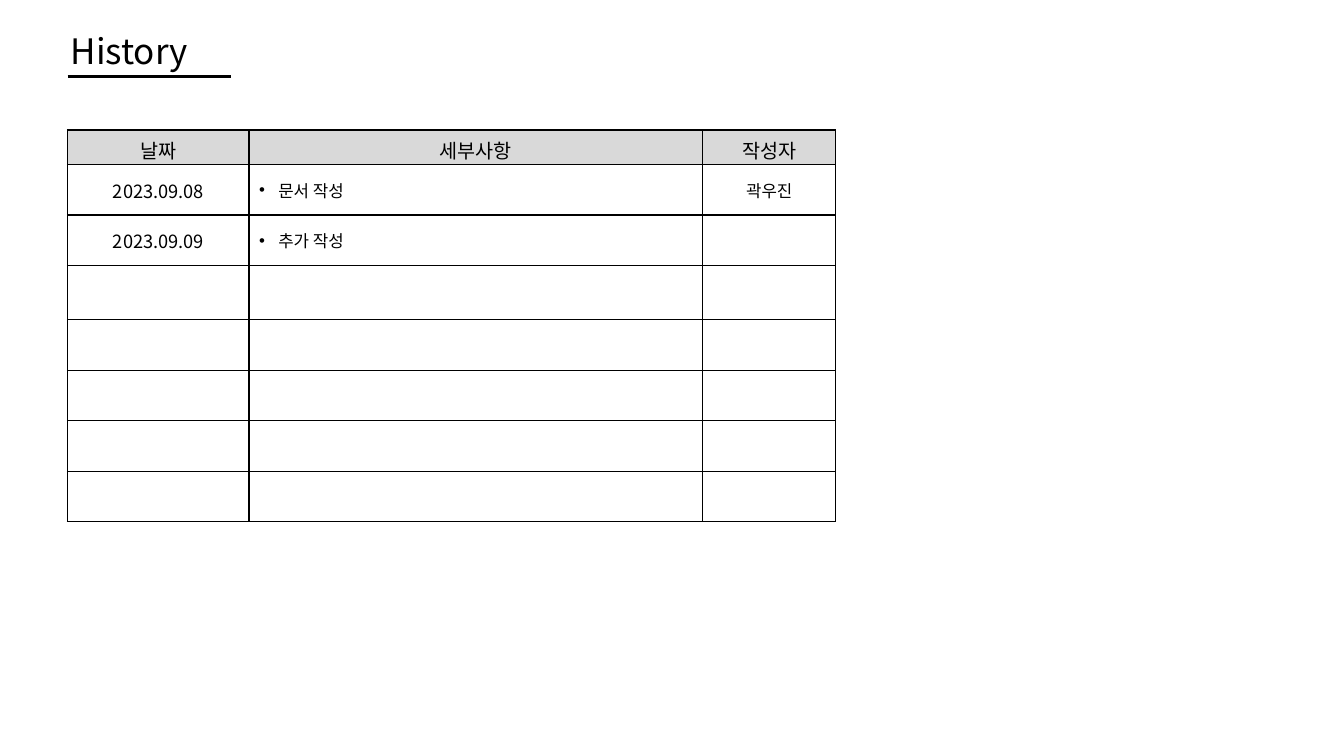
import pptx
import pptx.util
import pptx.dml.color
import pptx.enum.shapes
import pptx.enum.text
import pptx.oxml
import pptx.oxml.ns
import lxml.etree

Inches = pptx.util.Inches
Pt = pptx.util.Pt
ALIGN = pptx.enum.text.PP_ALIGN
ANCHOR = pptx.enum.text.MSO_ANCHOR
FONT = "Noto Sans CJK KR"
BLACK, GRAY, WHITE = "000000", "D9D9D9", "FFFFFF"

COLUMN_WIDTHS = [1.8, 4.5, 1.32]
HEADER_HEIGHT = 0.26
ROW_HEIGHTS = [0.5, 0.5, 0.54, 0.5, 0.5, 0.5, 0.5]
HEADINGS = ["날짜", "세부사항", "작성자"]
ENTRIES = [
    ["2023.09.08", "문서 작성", "곽우진"],
    ["2023.09.09", "추가 작성", ""],
]


def color(hex_string):
    return pptx.dml.color.RGBColor.from_string(hex_string)


def add_child(parent, tag, **attributes):
    child = lxml.etree.SubElement(parent, pptx.oxml.ns.qn(tag))
    for name, value in attributes.items():
        child.set(name, str(value))
    return child


def style_text(para, size, align):
    para.alignment = align
    para.font.size = Pt(size)
    para.font.name = FONT
    para.font.color.rgb = color(BLACK)
    for span in para.runs:
        add_child(span.font._element, "a:ea", typeface=FONT)


def add_title(page, text):
    title = page.shapes.title
    title.left, title.top = Inches(0.6), Inches(0.24)
    title.width, title.height = Inches(4.63), Inches(0.52)
    frame = title.text_frame
    frame.text = text
    frame.vertical_anchor = ANCHOR.MIDDLE
    frame.auto_size = pptx.enum.text.MSO_AUTO_SIZE.NONE
    style_text(frame.paragraphs[0], 25, ALIGN.LEFT)


def add_rule(page, left, right, top):
    rule = page.shapes.add_connector(
        pptx.enum.shapes.MSO_CONNECTOR.STRAIGHT,
        Inches(left), Inches(top), Inches(right), Inches(top))
    rule.line.color.rgb = color(BLACK)
    rule.line.width = Pt(1.75)
    add_child(rule._element.spPr, "a:effectLst")


def add_bullet(para):
    properties = para._element.get_or_add_pPr()
    properties.set("marL", str(Inches(0.19)))
    properties.set("indent", str(-Inches(0.19)))
    add_child(properties, "a:buFont", typeface="Arial")
    add_child(properties, "a:buChar", char="•")


def format_cell(cell, fill):
    # Borders come before the fill in the cell properties
    properties = cell._tc.get_or_add_tcPr()
    for side in ("a:lnL", "a:lnR", "a:lnT", "a:lnB"):
        border = add_child(properties, side, w=Pt(1))
        add_child(add_child(border, "a:solidFill"), "a:srgbClr", val=BLACK)
    cell.fill.solid()
    cell.fill.fore_color.rgb = color(fill)


def write_cell(cell, text, size, align=ALIGN.CENTER):
    cell.text = text
    para = cell.text_frame.paragraphs[0]
    style_text(para, size, align)
    return para


def add_history_table(page):
    heights = [HEADER_HEIGHT] + ROW_HEIGHTS
    table = page.shapes.add_table(
        len(heights), len(COLUMN_WIDTHS), Inches(0.67), Inches(1.29),
        Inches(sum(COLUMN_WIDTHS)), Inches(sum(heights))).table
    table.first_row = table.horz_banding = False
    for column, width in zip(table.columns, COLUMN_WIDTHS):
        column.width = Inches(width)
    for index, height in enumerate(heights):
        table.rows[index].height = Inches(height)
        for cell in table.rows[index].cells:
            format_cell(cell, WHITE if index else GRAY)

    # Header row
    for cell, heading in zip(table.rows[0].cells, HEADINGS):
        cell.margin_top, cell.margin_bottom = Inches(0.06), 0
        write_cell(cell, heading, 14)

    # Entries
    for index, (date, detail, author) in enumerate(ENTRIES, 1):
        date_cell, detail_cell, author_cell = table.rows[index].cells
        for cell in (date_cell, detail_cell, author_cell):
            cell.vertical_anchor = ANCHOR.MIDDLE
        date_cell.margin_top, date_cell.margin_bottom = Inches(0.01), 0
        write_cell(date_cell, date, 13)
        add_bullet(write_cell(detail_cell, detail, 12, ALIGN.LEFT))
        if author:
            write_cell(author_cell, author, 12)


def main():
    deck = pptx.Presentation()
    deck.slide_width, deck.slide_height = Inches(13.33), Inches(7.5)
    page = deck.slides.add_slide(deck.slide_layouts[5])
    add_title(page, "History")
    add_rule(page, 0.67, 2.29, 0.76)
    add_history_table(page)
    deck.save("out.pptx")


if __name__ == "__main__":
    main()
